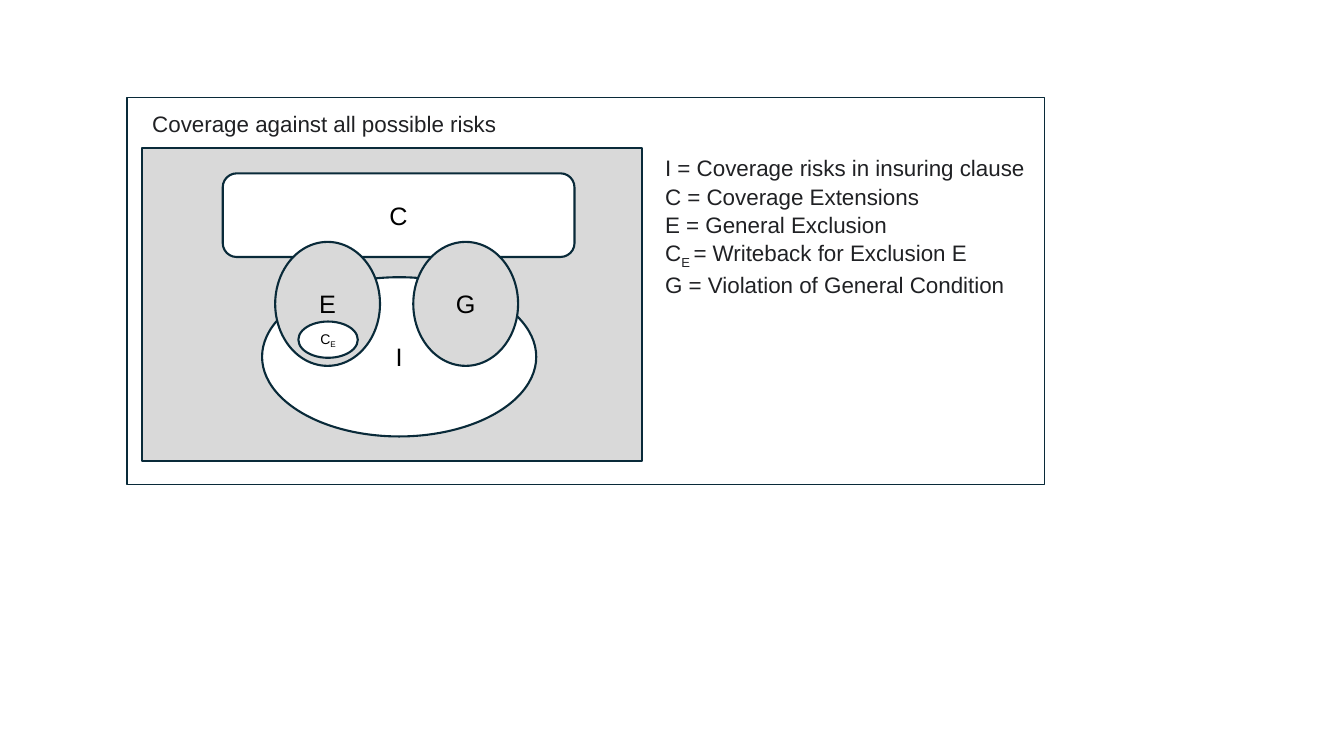
from dataclasses import dataclass

from pptx import Presentation
from pptx.dml.color import RGBColor
from pptx.enum.shapes import MSO_SHAPE as Preset
from pptx.enum.text import MSO_ANCHOR as Anchor, MSO_AUTO_SIZE as AutoSize, PP_ALIGN as Align
from pptx.util import Inches, Pt

WIDTH, HEIGHT = Inches(13.33), Inches(7.5)
COLUMNS, ROWS = 160, 90
TITLE_ONLY = 5


@dataclass(frozen=True)
class Theme:
    font: str = "Arial"
    outline: str = "092A39"
    uncovered: str = "D9D9D9"
    covered: str = "FFFFFF"
    body: str = "202124"
    label: str = "000000"
    body_size: float = 16
    label_size: float = 18
    small_size: float = 10


THEME = Theme()

LEGEND = [
    "I = Coverage risks in insuring clause",
    "C = Coverage Extensions",
    "E = General Exclusion",
    "C_E _= Writeback for Exclusion E",
    "G = Violation of General Condition",
]


def grid(column, row, columns, rows):
    across, down = WIDTH / COLUMNS, HEIGHT / ROWS
    return (round(column * across), round(row * down),
            round(columns * across), round(rows * down))


def write(frame, lines, size=THEME.body_size, color=THEME.body, align=Align.LEFT,
          anchor=Anchor.TOP, wrap=True, fit=AutoSize.NONE, spacing=1.0):
    frame.word_wrap = wrap
    frame.auto_size = fit
    frame.vertical_anchor = anchor
    for index, line in enumerate(lines):
        para = frame.add_paragraph() if index else frame.paragraphs[0]
        para.alignment = align
        para.line_spacing = spacing
        para.space_before = Pt(0)
        for part, text in enumerate(line.split("_")):
            span = para.add_run()
            span.text = text
            span.font.name = THEME.font
            span.font.size = Pt(size)
            span.font.color.rgb = RGBColor.from_string(color)
            if part % 2:
                span._r.get_or_add_rPr().set("baseline", "-25000")


def add_region(page, preset, place, fill=None, label=None, size=THEME.label_size, line=1.5):
    region = page.shapes.add_shape(preset, *grid(*place))
    region.shadow.inherit = False
    region.line.color.rgb = RGBColor.from_string(THEME.outline)
    region.line.width = Pt(line)
    if fill:
        region.fill.solid()
        region.fill.fore_color.rgb = RGBColor.from_string(fill)
    else:
        region.fill.background()
    if label:
        write(region.text_frame, [label], size=size, color=THEME.label,
              align=Align.CENTER, anchor=Anchor.MIDDLE)


def add_title(page, text, place):
    title = page.shapes.title
    title.left, title.top, title.width, title.height = grid(*place)
    write(title.text_frame, [text], wrap=False, fit=AutoSize.SHAPE_TO_FIT_TEXT, spacing=1.05)


def add_legend(page, lines, place):
    box = page.shapes.add_textbox(*grid(*place))
    write(box.text_frame, lines, fit=AutoSize.SHAPE_TO_FIT_TEXT, spacing=1.05)


def main():
    deck = Presentation()
    deck.slide_width, deck.slide_height = WIDTH, HEIGHT
    page = deck.slides.add_slide(deck.slide_layouts[TITLE_ONLY])

    add_title(page, "Coverage against all possible risks", (16.92, 12.36, 43.8, 4.44))
    add_region(page, Preset.RECTANGLE, (16.92, 17.64, 59.52, 37.2), THEME.uncovered)
    add_legend(page, LEGEND, (78, 17.64, 45.36, 17.4))
    add_region(page, Preset.OVAL, (31.2, 33, 32.64, 18.96), THEME.covered, "I")
    add_region(page, Preset.ROUNDED_RECTANGLE, (26.52, 20.64, 41.88, 9.96), THEME.covered, "C")
    for label, column in (("E", 32.76), ("G", 49.2)):
        add_region(page, Preset.OVAL, (column, 28.8, 12.48, 14.76), THEME.uncovered, label)
    add_region(page, Preset.OVAL, (35.52, 38.28, 7.08, 4.32), THEME.covered, "C_E",
               size=THEME.small_size)
    add_region(page, Preset.RECTANGLE, (15.12, 11.64, 109.2, 46.08), line=1)

    deck.save("out.pptx")


if __name__ == "__main__":
    main()
